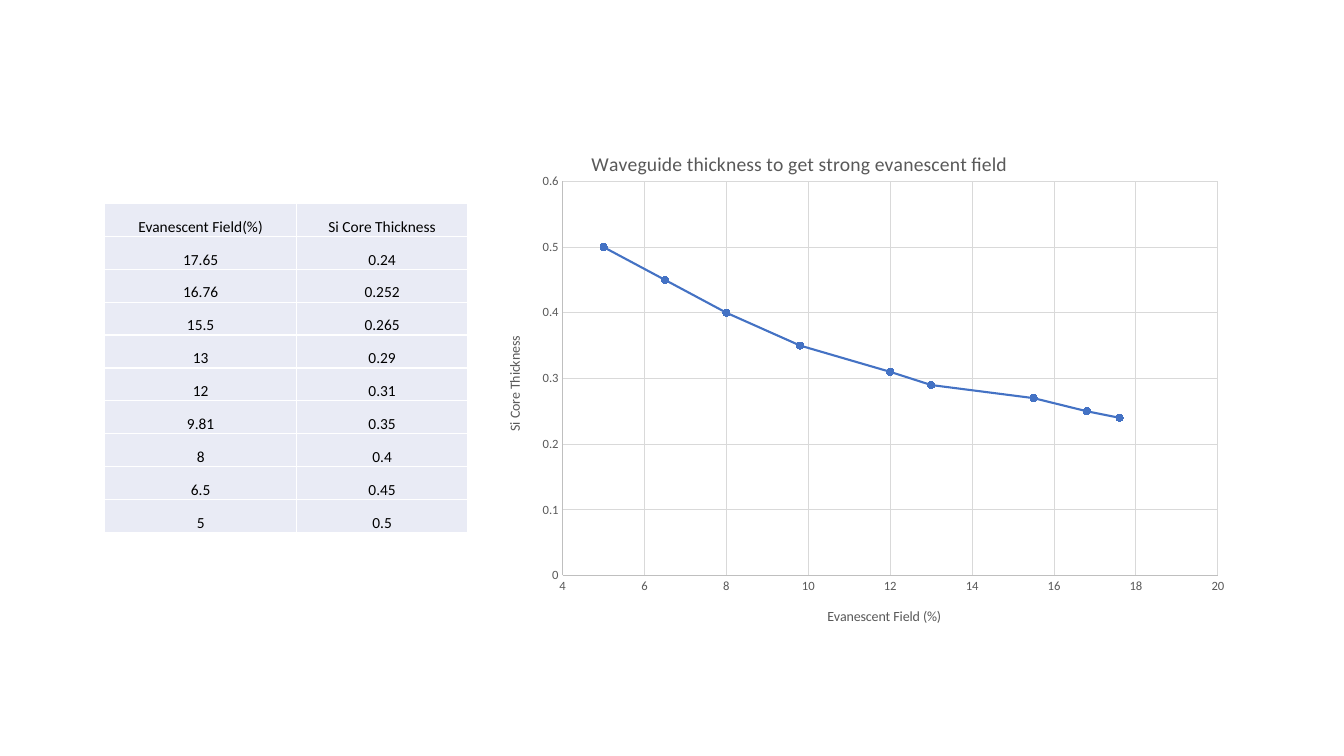
import pptx
import pptx.chart.data
import pptx.dml.color
import pptx.enum.chart
import pptx.enum.text
import pptx.oxml
import pptx.oxml.ns
import pptx.util

Inches = pptx.util.Inches
Pt = pptx.util.Pt
qn = pptx.oxml.ns.qn

HEADINGS = ("Evanescent Field(%)", "Si Core Thickness")
MEASUREMENTS = [
    (17.65, 0.24), (16.76, 0.252), (15.5, 0.265), (13, 0.29), (12, 0.31),
    (9.81, 0.35), (8, 0.4), (6.5, 0.45), (5, 0.5),
]


def color(hex_value):
    return pptx.dml.color.RGBColor.from_string(hex_value)


def style_font(font, size, hex_value):
    font.name = "Calibri"
    font.size = Pt(size)
    font.bold = False
    font.color.rgb = color(hex_value)


def write_text(frame, text, size=11, hex_value="000000", align=pptx.enum.text.PP_ALIGN.CENTER):
    paragraph = frame.paragraphs[0]
    paragraph.alignment = align
    run = paragraph.add_run()
    run.text = text
    style_font(run.font, size, hex_value)


def style_line(line, hex_value, width):
    line.color.rgb = color(hex_value)
    line.width = Pt(width)


def border_cell(cell, hex_value, width):
    properties = cell._tc.get_or_add_tcPr()
    for index, side in enumerate(("lnL", "lnR", "lnT", "lnB")):
        properties.insert(index, pptx.oxml.parse_xml(
            f'<a:{side} {pptx.oxml.ns.nsdecls("a")} w="{Pt(width)}"><a:solidFill>'
            f'<a:srgbClr val="{hex_value}"/></a:solidFill></a:{side}>'))


def set_layout(element, chart_size, position, size=None):
    for layout in element.findall(qn("c:layout")):
        element.remove(layout)
    edges = [("xMode", "edge"), ("yMode", "edge")]
    edges += [(tag, part / whole) for tag, part, whole in zip("xy", position, chart_size)]
    if size:
        edges.insert(0, ("layoutTarget", "inner"))
        edges += [(tag, part / whole) for tag, part, whole in zip("wh", size, chart_size)]
    values = "".join(f'<c:{tag} val="{value}"/>' for tag, value in edges)
    layout = pptx.oxml.parse_xml(
        f'<c:layout {pptx.oxml.ns.nsdecls("c")}><c:manualLayout>{values}'
        '</c:manualLayout></c:layout>')
    text = element.find(qn("c:tx"))
    element.insert(0 if text is None else element.index(text) + 1, layout)


def add_measurements(slide, left, top, width, height):
    rows = [HEADINGS, *MEASUREMENTS]
    table = slide.shapes.add_table(
        len(rows), len(HEADINGS), Inches(left), Inches(top), Inches(width), Inches(height)).table
    table.first_row = table.horz_banding = False
    for column, column_width in zip(table.columns, (1.9, width - 1.9)):
        column.width = Inches(column_width)
    for row, values in zip(table.rows, rows):
        row.height = Inches(height / len(rows))
        for cell, value in zip(row.cells, values):
            cell.margin_left = cell.margin_right = cell.margin_top = Inches(0.01)
            cell.margin_bottom = 0
            cell.vertical_anchor = pptx.enum.text.MSO_ANCHOR.BOTTOM
            cell.fill.solid()
            cell.fill.fore_color.rgb = color("E9EBF5")
            border_cell(cell, "FFFFFF", 1)
            write_text(cell.text_frame, str(value))


def style_axis(axis, title, chart_size, title_position, low, high, step):
    axis.minimum_scale, axis.maximum_scale, axis.major_unit = low, high, step
    axis.major_tick_mark = axis.minor_tick_mark = pptx.enum.chart.XL_TICK_MARK.NONE
    axis.has_major_gridlines = True
    style_line(axis.major_gridlines.format.line, "D9D9D9", 0.75)
    style_line(axis.format.line, "BFBFBF", 0.75)
    style_font(axis.tick_labels.font, 9, "595959")
    axis.tick_labels.number_format = "General"
    axis.tick_labels.number_format_is_linked = False
    write_text(axis.axis_title.text_frame, title, size=10, hex_value="595959")
    set_layout(axis.axis_title._element, chart_size, title_position)


def add_thickness_chart(slide, left, top, width, height):
    chart_size = (width, height)
    data = pptx.chart.data.XyChartData()
    thickness = data.add_series("Si Core Thickness")
    for field, core in MEASUREMENTS:
        thickness.add_data_point(round(field, 1), round(core, 2))
    chart = slide.shapes.add_chart(
        pptx.enum.chart.XL_CHART_TYPE.XY_SCATTER_LINES,
        Inches(left), Inches(top), Inches(width), Inches(height), data).chart
    style_font(chart.font, 10, "000000")
    chart.has_legend = False
    chart.has_title = True
    write_text(chart.chart_title.text_frame,
               "Waveguide thickness to get strong evanescent field", size=14, hex_value="595959")
    set_layout(chart.chart_title._element, chart_size, (0.91, 0.13))
    style_axis(chart.category_axis, "Evanescent Field (%)", chart_size, (3.26, 4.67), 4, 20, 2)
    style_axis(chart.value_axis, "Si Core Thickness", chart_size, (0.07, 1.98), 0, 0.6, 0.1)
    plot = chart.plots[0]
    plot.vary_by_categories = False
    set_layout(chart._chartSpace.chart.plotArea, chart_size, (0.66, 0.47), (6.5, 3.91))
    curve = plot.series[0]
    curve.smooth = False
    style_line(curve.format.line, "4472C4", 1.5)
    curve.marker.style = pptx.enum.chart.XL_MARKER_STYLE.CIRCLE
    curve.marker.size = 5
    curve.marker.format.fill.solid()
    curve.marker.format.fill.fore_color.rgb = color("4472C4")
    style_line(curve.marker.format.line, "4472C4", 0.75)


def main():
    deck = pptx.Presentation()
    deck.slide_width, deck.slide_height = Inches(13.33), Inches(7.5)
    slide = deck.slides.add_slide(deck.slide_layouts[6])
    add_measurements(slide, 1.04, 2.02, 3.6, 3.26)
    add_thickness_chart(slide, 4.92, 1.33, 7.38, 5.04)
    deck.save("out.pptx")


if __name__ == "__main__":
    main()
